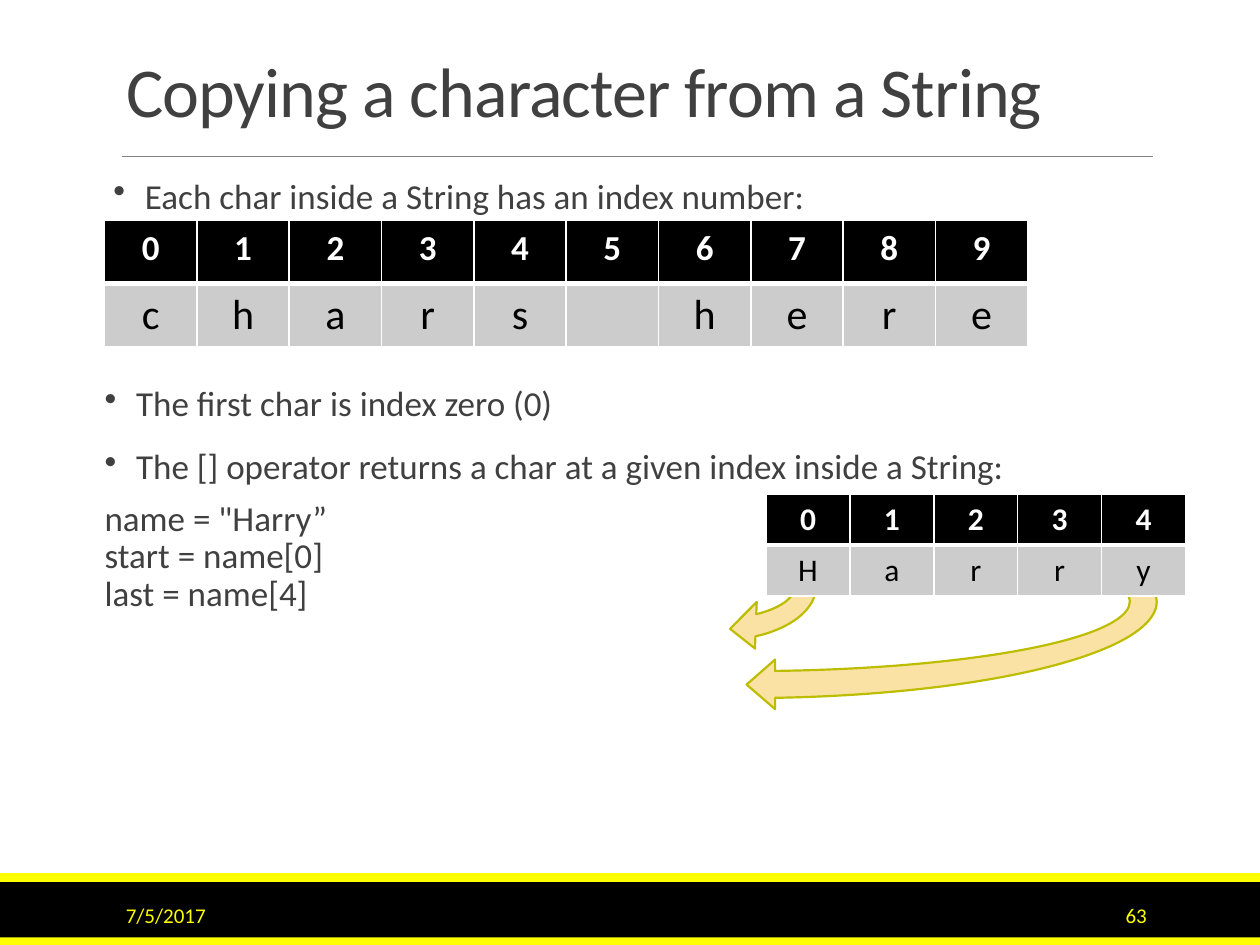
from dataclasses import dataclass

from lxml import etree
from pptx import Presentation
from pptx import util as u
from pptx.dml.color import RGBColor
from pptx.enum import shapes, text
from pptx.oxml import ns


@dataclass(frozen=True)
class Theme:
    font: str = "Calibri"
    ink: str = "404040"
    black: str = "000000"
    white: str = "FFFFFF"
    yellow: str = "FFFF00"
    rule: str = "808080"
    cell: str = "CCCCCC"
    arrow: str = "FAE1A4"
    arrow_edge: str = "BDBD00"
    title_size: int = 40
    body_size: int = 20
    footer_size: int = 12


def color(value):
    return RGBColor.from_string(value)


def box_at(*lengths):
    return [u.Inches(length) for length in lengths]


def child(parent, tag, **attributes):
    return etree.SubElement(parent, ns.qn(tag), **attributes)


class SlideBuilder:
    def __init__(self, slide, theme):
        self.slide = slide
        self.theme = theme

    def style(self, para, size, ink, bold=False):
        font = para.font
        font.name, font.size, font.bold = self.theme.font, u.Pt(size), bold
        font.color.rgb = color(ink)

    def title(self, wording, at):
        box = self.slide.shapes.title
        box.left, box.top, box.width, box.height = box_at(*at)
        frame = box.text_frame
        frame.text = wording
        frame.word_wrap = True
        frame.auto_size = text.MSO_AUTO_SIZE.NONE
        frame.vertical_anchor = text.MSO_ANCHOR.BOTTOM
        para = frame.paragraphs[0]
        para.alignment = text.PP_ALIGN.LEFT
        para.line_spacing = 0.85
        self.style(para, self.theme.title_size, self.theme.ink)
        para.runs[0].font._element.set("spc", "-50")

    def bar(self, at, fill):
        shape = self.slide.shapes.add_shape(shapes.MSO_SHAPE.RECTANGLE, *box_at(*at))
        shape.shadow.inherit = False
        shape.fill.solid()
        shape.fill.fore_color.rgb = color(fill)
        shape.line.fill.background()

    def rule(self, left, right, y):
        line = self.slide.shapes.add_connector(
            shapes.MSO_CONNECTOR.STRAIGHT, *box_at(left, y, right, y))
        line.line.color.rgb = color(self.theme.rule)
        line.line.width = u.Pt(0.5)
        child(line._element.spPr, "a:effectLst")

    def body(self, at, lines):
        """Each line is (wording, bulleted, space before in points)."""
        frame = self.slide.shapes.add_textbox(*box_at(*at)).text_frame
        frame.word_wrap = True
        frame.margin_left = frame.margin_right = 0
        for number, (wording, bulleted, before) in enumerate(lines):
            para = frame.add_paragraph() if number else frame.paragraphs[0]
            para.text = wording
            para.line_spacing = 0.9
            para.space_before = u.Pt(before)
            para.space_after = u.Pt(2 if bulleted else 0)
            self.style(para, self.theme.body_size, self.theme.ink)
            if bulleted:
                self.bullet(para)

    def bullet(self, para):
        properties = para._p.get_or_add_pPr()
        indent = u.Inches(0.25)
        properties.set("marL", str(indent))
        properties.set("indent", str(-indent))
        mark = properties.makeelement(ns.qn("a:buChar"), {"char": "•"})
        properties.find(ns.qn("a:defRPr")).addprevious(mark)

    def footer(self, wording, at, align):
        frame = self.slide.shapes.add_textbox(*box_at(*at)).text_frame
        frame.word_wrap = True
        frame.vertical_anchor = text.MSO_ANCHOR.MIDDLE
        para = frame.paragraphs[0]
        para.text = wording
        para.alignment = align
        self.style(para, self.theme.footer_size, self.theme.yellow)

    def arrow(self, at, rotation, adjustments):
        shape = self.slide.shapes.add_shape(shapes.MSO_SHAPE.CIRCULAR_ARROW, *box_at(*at))
        shape.rotation = rotation
        for number, value in enumerate(adjustments):
            shape.adjustments[number] = value
        shape.shadow.inherit = False
        shape.fill.solid()
        shape.fill.fore_color.rgb = color(self.theme.arrow)
        shape.line.color.rgb = color(self.theme.arrow_edge)
        shape.line.width = u.Pt(1.25)

    def index_table(self, word, at, index_size, char_size):
        """Index numbers on top, the characters of the word below."""
        theme = self.theme
        table = self.slide.shapes.add_table(2, len(word), *box_at(*at)).table
        for column in table.columns:
            column.width = u.Inches(at[2] / len(word))
        for index, letter in enumerate(word):
            self.cell(table.cell(0, index), str(index), index_size,
                      theme.white, theme.black, True)
            self.cell(table.cell(1, index), letter.strip(), char_size,
                      theme.black, theme.cell, False)

    def cell(self, cell, wording, size, ink, fill, header):
        para = cell.text_frame.paragraphs[0]
        para.text = wording
        para.alignment = text.PP_ALIGN.CENTER
        self.style(para, size, ink, header)
        properties = cell._tc.get_or_add_tcPr()
        for side in "LRTB":
            points = 3 if (header and side == "B") or (not header and side == "T") else 1
            edge = child(properties, f"a:ln{side}", w=str(u.Pt(points)))
            child(child(edge, "a:solidFill"), "a:srgbClr", val=self.theme.white)
        cell.fill.solid()
        cell.fill.fore_color.rgb = color(fill)


def main():
    deck = Presentation()
    deck.slide_width, deck.slide_height = box_at(10, 7.5)
    theme = Theme()
    page = SlideBuilder(deck.slides.add_slide(deck.slide_layouts[5]), theme)

    # Footer band and title rule
    page.bar((0, 7, 10, 0.5), theme.black)
    for top in (6.93, 7.44):
        page.bar((0, top, 10, 0.07), theme.yellow)
    page.rule(0.97, 9.15, 1.24)
    page.title("Copying a character from a String", (0.9, 0.31, 8.25, 0.79))

    # Index numbers of a string
    page.body((0.9, 1.37, 8.25, 1.38),
              [("Each char inside a String has an index number:", True, 12)])
    page.index_table("chars here", (0.83, 1.75, 7.33, 1), 20, 24)

    # Arrows from the picked characters, partly under the table
    page.arrow((5.33, 3.93, 0.95, 1.54), 85.5, (0.181, 23.187, 196.863, 165.91, 0.195))
    page.arrow((5.07, 1.43, 1.71, 6.69), 90, (0.125, 11.423, 204.577, 160.08, 0.115))
    page.index_table("Harry", (6.08, 3.92, 3.33, 0.81), 18, 18)

    # Date and page number
    page.footer("7/5/2017", (0.9, 7.06, 2.03, 0.4), text.PP_ALIGN.LEFT)
    page.footer("63", (8.12, 7.06, 1.08, 0.4), text.PP_ALIGN.RIGHT)

    # Index operator and its example
    page.body((0.83, 3.02, 8.25, 2.61), [
        ("The first char is index zero (0)", True, 12),
        ("The [] operator returns a char at a given index inside a String:", True, 12),
        ('name = "Harry”', False, 6),
        ("start = name[0]", False, 0),
        ("last = name[4]", False, 0),
    ])
    deck.save("out.pptx")


if __name__ == "__main__":
    main()
